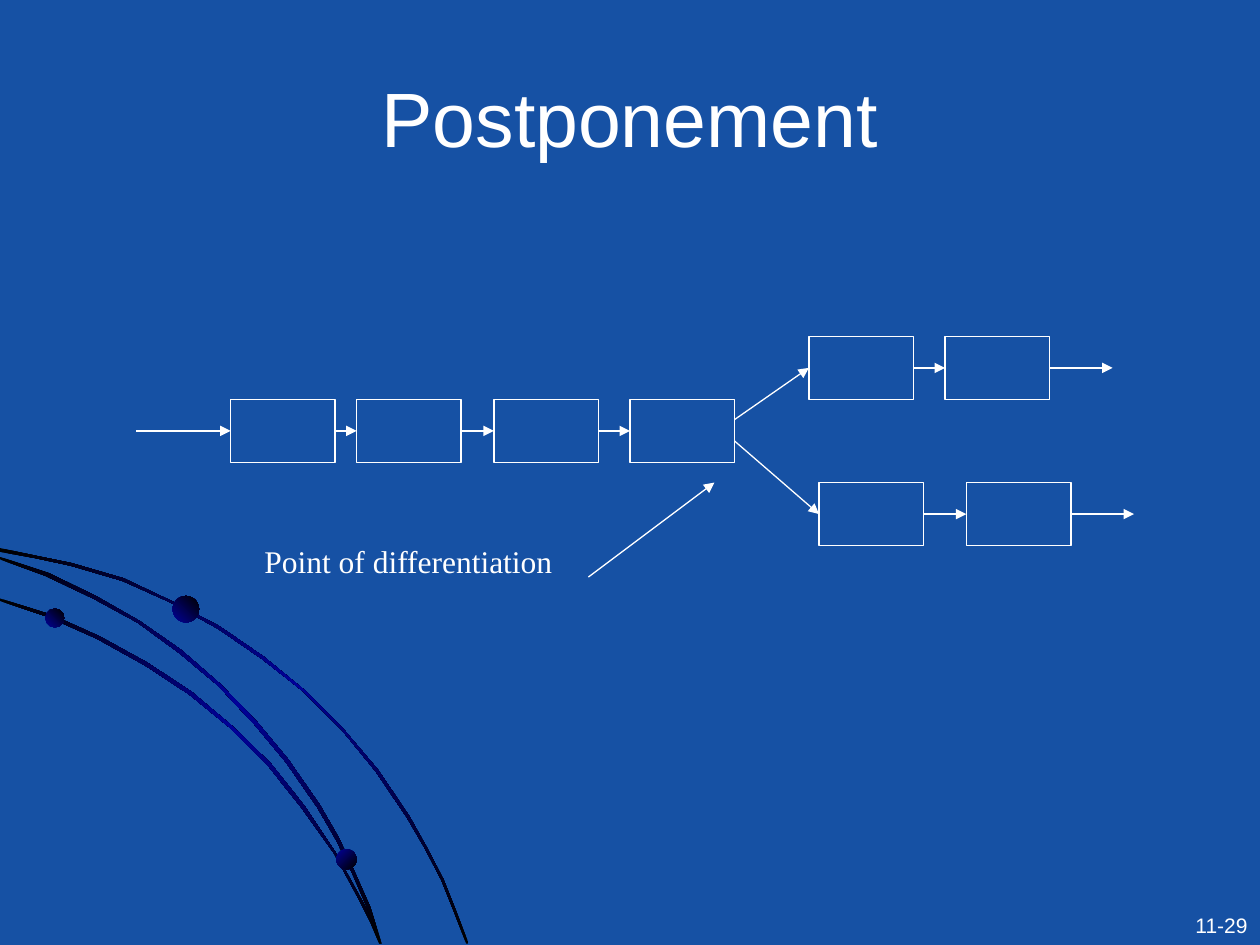
"""Build the Postponement slide: a process chain that splits into two branches."""
from copy import deepcopy

from lxml.etree import SubElement
from pptx import Presentation
from pptx.dml.color import RGBColor
from pptx.enum.shapes import MSO_CONNECTOR as CONN, MSO_SHAPE as SHAPE
from pptx.enum.text import MSO_ANCHOR as ANCHOR, PP_ALIGN as ALIGN
from pptx.oxml.ns import qn
from pptx.util import Inches, Pt

BLUE = RGBColor(0x16, 0x51, 0xA4)
NAVY = RGBColor(0x01, 0x01, 0x99)
BLACK = RGBColor(0, 0, 0)
WHITE = RGBColor(0xFF, 0xFF, 0xFF)

BOX_W, BOX_H = 0.83, 0.5

prs = Presentation()
prs.slide_width, prs.slide_height = Inches(10), Inches(7.5)
slide = prs.slides.add_slide(prs.slide_layouts[6])
slide.background.fill.solid()
slide.background.fill.fore_color.rgb = BLUE
shapes = slide.shapes


def set_gradient(s, angle, colors):
    s.shadow.inherit = False
    s.line.fill.background()
    s.fill.gradient()
    s.fill.gradient_angle = angle
    if len(colors) == 3:
        first = s.fill._xPr.find(".//" + qn("a:gs"))
        middle = deepcopy(first)
        middle.set("pos", "50000")
        first.addnext(middle)
    for stop, color in zip(s.fill.gradient_stops, colors):
        stop.color.rgb = color


def add_arrow(start, end, from_box=None, to_box=None):
    c = shapes.add_connector(CONN.STRAIGHT, *map(Inches, start + end))
    if from_box is not None:
        c.begin_connect(from_box, 3)
    if to_box is not None:
        c.end_connect(to_box, 1)
    c.line.color.rgb = WHITE
    c.line.width = Pt(0.75)
    SubElement(c.line._get_or_add_ln(), qn("a:tailEnd"), type="triangle")
    SubElement(c._element.spPr, qn("a:effectLst"))
    return c


outer_arc = [
    (57, 447), (28, 441), (0, 435), (0, 438), (28, 443), (56, 449), (97, 461),
    (135, 478), (173, 499), (208, 523), (241, 549), (271, 579), (298, 612),
    (323, 649), (337, 673), (350, 698), (360, 723), (370, 749), (372, 749),
    (362, 723), (352, 698), (339, 673), (325, 648), (300, 611), (272, 578),
    (242, 548), (209, 521), (174, 497), (136, 477), (98, 459),
]
inner_arc = [
    (285, 714), (294, 732), (301, 749), (303, 749), (296, 730), (286, 712),
    (266, 676), (242, 640), (215, 606), (184, 576), (152, 549), (117, 526),
    (79, 505), (41, 488), (0, 475), (0, 477), (39, 490), (77, 507), (115, 528),
    (150, 551), (183, 578), (213, 608), (240, 642), (265, 677),
]
middle_arc = [
    (0, 442), (0, 444), (36, 457), (74, 475), (109, 494), (142, 518), (173, 544),
    (202, 575), (227, 605), (252, 641), (267, 667), (280, 694), (292, 722),
    (301, 749), (303, 749), (294, 720), (282, 693), (269, 665), (254, 639),
    (229, 603), (204, 573), (175, 543), (144, 516), (111, 493), (76, 473),
    (39, 455),
]
for points in (outer_arc, inner_arc, middle_arc):
    builder = shapes.build_freeform(*points[0], scale=Inches(0.01))
    builder.add_line_segments(points[1:], close=True)
    set_gradient(builder.convert_to_shape(), 315, [BLACK, NAVY, BLACK])

for x, y, size, angle in [(0.36, 4.83, 0.15, 45), (2.67, 6.74, 0.16, 315), (1.37, 4.73, 0.21, 45)]:
    s = shapes.add_shape(SHAPE.OVAL, Inches(x), Inches(y), Inches(size), Inches(size))
    set_gradient(s, angle, [NAVY, BLACK])

rows = [
    (3.17, [1.83, 2.83, 3.92, 5], (1.08, 3.42), None),
    (2.67, [6.42, 7.5], (5.83, 3.33), 8.83),
    (3.83, [6.5, 7.67], (5.83, 3.5), 9),
]
for top, lefts, start, end_x in rows:
    mid_y = top + BOX_H / 2
    previous = None
    for left in lefts:
        s = shapes.add_shape(SHAPE.RECTANGLE, Inches(left), Inches(top), Inches(BOX_W), Inches(BOX_H))
        s.shadow.inherit = False
        s.fill.background()
        s.line.color.rgb = WHITE
        s.line.width = Pt(0.75)
        add_arrow(start, (left, mid_y), previous, s)
        previous, start = s, (left + BOX_W, mid_y)
    if end_x:
        add_arrow(start, (end_x, mid_y), previous)

add_arrow((4.67, 4.58), (5.67, 3.83))

texts = [
    ("11-29", (9.37, 7.19, 0.63, 0.3), 12, "Arial", ALIGN.RIGHT, ANCHOR.TOP, True),
    ("Point of differentiation", (2, 4.25, 2.49, 0.4), 18, "Times New Roman", ALIGN.LEFT, ANCHOR.TOP, False),
    ("Postponement", (0.58, 0.25, 8.84, 1.09), 44, "Arial", ALIGN.CENTER, ANCHOR.BOTTOM, True),
]
for text, place, size, font, align, anchor, wrap in texts:
    tf = shapes.add_textbox(*map(Inches, place)).text_frame
    tf.word_wrap = wrap
    tf.vertical_anchor = anchor
    p = tf.paragraphs[0]
    p.alignment = align
    r = p.add_run()
    r.text = text
    r.font.size = Pt(size)
    r.font.name = font
    r.font.color.rgb = WHITE

prs.save("out.pptx")
